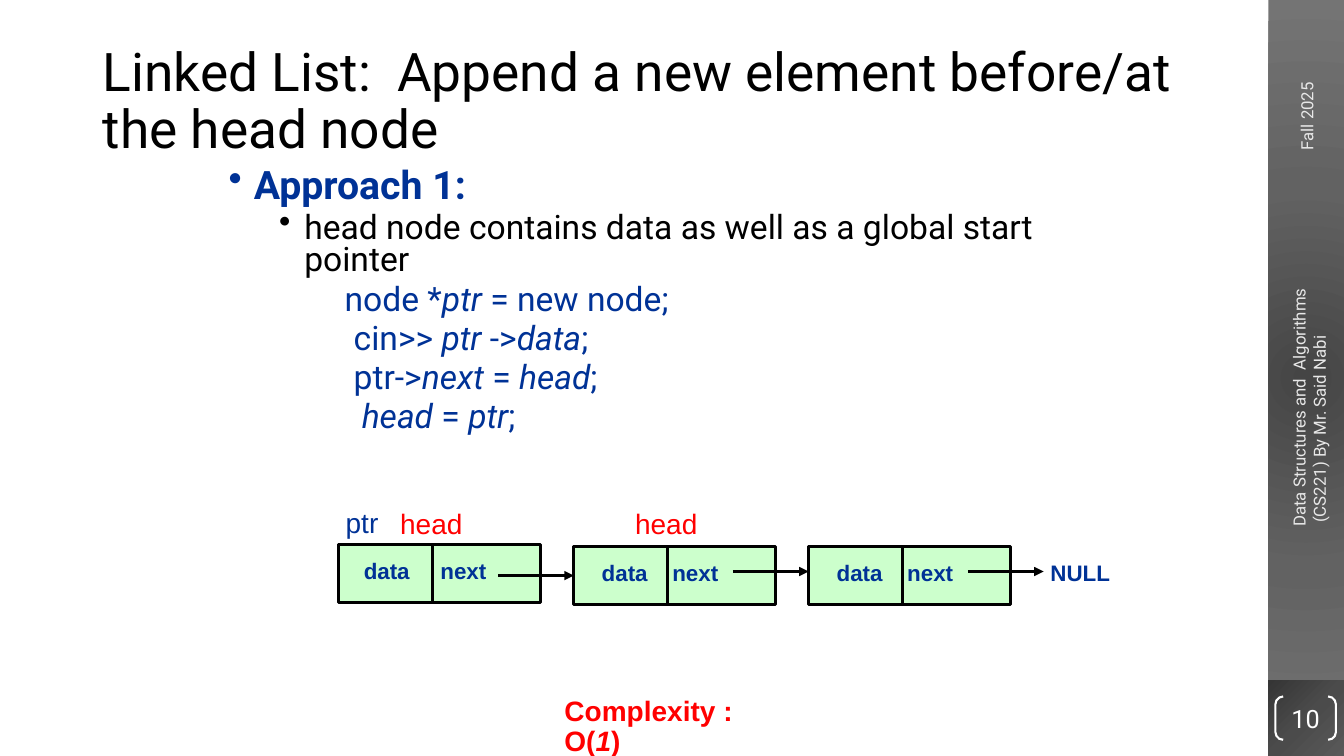
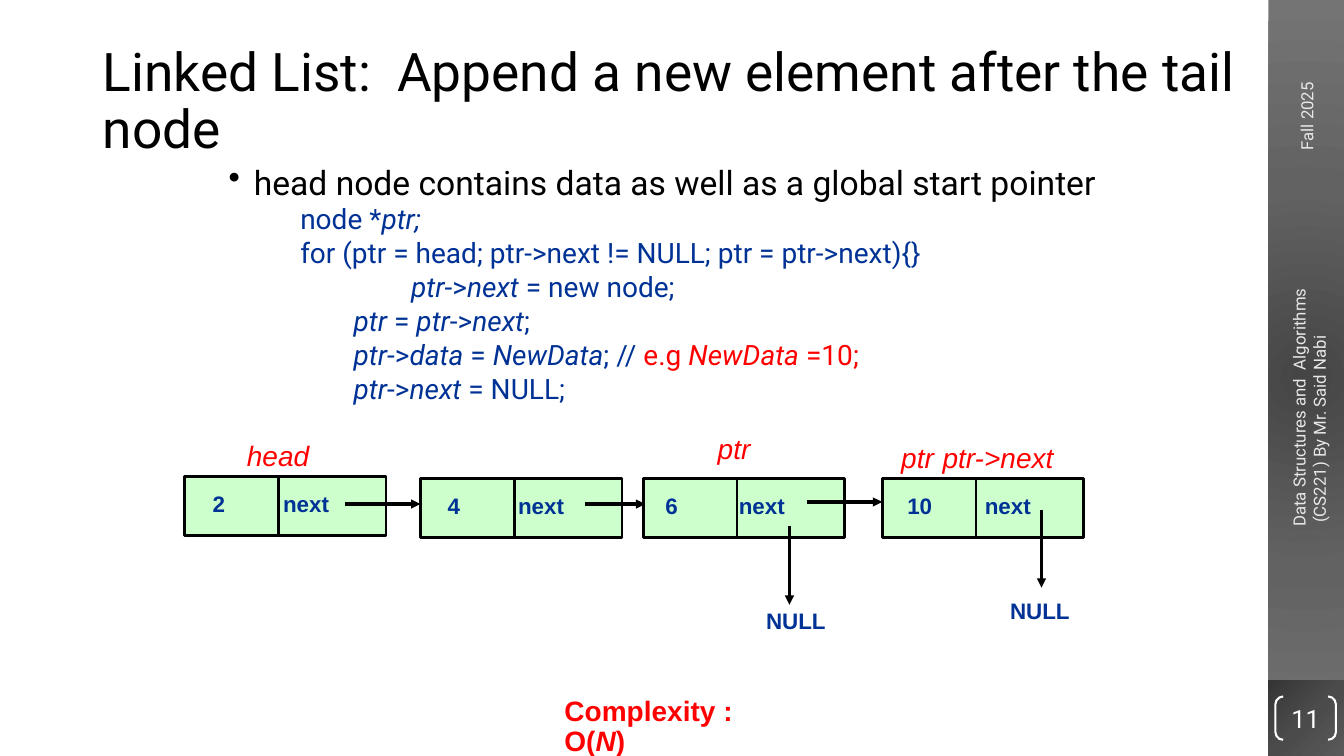
from pptx import Presentation
from pptx.dml.color import RGBColor as RGB
from pptx.enum.shapes import MSO_CONNECTOR as LINE, MSO_SHAPE as SHAPE
from pptx.enum.text import MSO_ANCHOR as ANCHOR, PP_ALIGN as ALIGN
from pptx.oxml import parse_xml
from pptx.oxml.ns import nsdecls, qn
from pptx.util import Inches, Pt

BLACK, WHITE, PALE = "000000", "FFFFFF", "E8E8E8"
BLUE, RED, GREEN = "003296", "FF0000", "CCFFCC"
HEAD, PLAIN = "Roboto", "Arial"
WIDE, HIGH, BAND = 13.33, 7.5, 0.75
NODE_W, NODE_H, SPLIT = 2, 0.58, 0.93


def hue(code):
    return RGB.from_string(code)


def style(run, size, font, color, bold=False, italic=False):
    face = run.font
    face.size, face.name = Pt(size), font
    face.bold, face.italic = bold, italic
    face.color.rgb = hue(color)


def rich(par, text, size, font, color, bold=False):
    for turn, part in enumerate(text.split("|")):
        tint = RED if turn % 2 else color
        for step, piece in enumerate(part.split("_")):
            if piece:
                run = par.add_run()
                run.text = piece
                style(run, size, font, tint, bold, step % 2 == 1)


def frame(slide, x, y, w, h):
    box = slide.shapes.add_textbox(*map(Inches, (x, y, w, h)))
    box.text_frame.word_wrap = True
    return box


def label(slide, x, y, text, size=16, color=BLUE, bold=True):
    width = 0.4 + size * 0.0085 * len(text)
    box = frame(slide, x, y, width, size / 50 + 0.04)
    rich(box.text_frame.paragraphs[0], text, size, PLAIN, color, bold)


def block(slide, kind, x, y, w, h):
    shape = slide.shapes.add_shape(kind, *map(Inches, (x, y, w, h)))
    shape.shadow.inherit = False
    return shape


def shade(slide, x, y, w, h, colors, focus):
    shape = block(slide, SHAPE.RECTANGLE, x, y, w, h)
    shape.line.fill.background()
    stops = "".join(
        f'<a:gs pos="{pos}"><a:srgbClr val="{code}"/></a:gs>'
        for pos, code in zip((0, 50000, 100000), colors))
    left, top, right, base = (side * 1000 for side in focus)
    fill = parse_xml(
        f'<a:gradFill {nsdecls("a")}><a:gsLst>{stops}</a:gsLst>'
        f'<a:path path="circle"><a:fillToRect l="{left}" t="{top}" '
        f'r="{right}" b="{base}"/></a:path></a:gradFill>')
    shape._element.spPr.find(qn("a:prstGeom")).addnext(fill)


def upright(slide, x, y, w, h, text):
    box = frame(slide, x, y, w, h)
    box.rotation = 270
    box.text_frame.text = text
    for par in box.text_frame.paragraphs:
        for run in par.runs:
            style(run, 12, HEAD, PALE)


def sidebar(slide, number):
    left, top = WIDE - BAND, HIGH - BAND
    shade(slide, left, 0, BAND, HIGH,
          ("454545", "626262", "747474"), (50, 50, 50, 50))
    shade(slide, left, top, BAND, BAND,
          ("353535", "4B4B4B", "595959"), (0, 0, 100, 100))
    upright(slide, left - 0.33, 0.73, 1.42, 0.3, "Fall 2025")
    upright(slide, left - 0.93, 3.74, 2.67, 0.5,
            "Data Structures and  Algorithms\n (CS221) By Mr. Said Nabi")
    mark = block(slide, SHAPE.DOUBLE_BRACKET, left + 0.07, top + 0.16, 0.6, 0.43)
    mark.adjustments[0] = 0.179
    mark.fill.background()
    mark.line.color.rgb = hue(WHITE)
    mark.line.width = Pt(1.5)
    text = mark.text_frame
    text.margin_left = text.margin_right = 0
    text.margin_top = text.margin_bottom = 0
    text.vertical_anchor = ANCHOR.MIDDLE
    text.text = str(number)
    text.paragraphs[0].alignment = ALIGN.CENTER
    style(text.paragraphs[0].runs[0], 18, HEAD, WHITE)


def title(slide, text):
    box = frame(slide, 0.92, 0.4, 11.5, 1.45)
    par = box.text_frame.paragraphs[0]
    par.text = text
    par.line_spacing = 0.9
    style(par.runs[0], 38, HEAD, BLACK)


def body(slide, x, y, w, h, bullets, size, code):
    rows = [(*row, True) for row in bullets]
    rows += [(ind, size, BLUE, False, text, False) for ind, text in code]
    text = frame(slide, x, y, w, h).text_frame
    for num, (ind, pts, color, bold, words, dot) in enumerate(rows):
        par = text.add_paragraph() if num else text.paragraphs[0]
        par.line_spacing = 0.8
        par.space_before = Pt(5 if num else 10)
        props = par._p.get_or_add_pPr()
        props.set("marL", str(Inches(ind)))
        props.set("indent", str(-Inches(0.25) if dot else 0))
        if dot:
            props.append(parse_xml(f'<a:buChar {nsdecls("a")} char="•"/>'))
        rich(par, words, pts, HEAD, color, bold)


def line(slide, x1, y1, x2, y2, width=2):
    wire = slide.shapes.add_connector(
        LINE.STRAIGHT, *map(Inches, (x1, y1, x2, y2)))
    wire.line.color.rgb = hue(BLACK)
    wire.line.width = Pt(width)
    wire._element.spPr.append(parse_xml(f'<a:effectLst {nsdecls("a")}/>'))
    return wire


def arrow(slide, x, y, dx=0.75, dy=0, goal=None):
    wire = line(slide, x, y, x + dx, y + dy, 2.25)
    wire.line._get_or_add_ln().append(
        parse_xml(f'<a:tailEnd {nsdecls("a")} type="triangle"/>'))
    if goal:
        wire.end_connect(goal, 1)


def node(slide, x, y, data, gap=0.18, link=0.88):
    box = block(slide, SHAPE.RECTANGLE, x, y, NODE_W, NODE_H)
    box.fill.solid()
    box.fill.fore_color.rgb = hue(GREEN)
    box.line.color.rgb = hue(BLACK)
    box.line.width = Pt(2)
    line(slide, x + SPLIT, y + NODE_H, x + SPLIT, y)
    label(slide, x + gap, y + 0.08, data)
    label(slide, x + link, y + 0.08, "next")
    return box


def cost(slide, order):
    par = frame(slide, 5.5, 6.87, 2.2, 0.63).text_frame.paragraphs[0]
    par.line_spacing = 0.9
    rich(par, f"Complexity : O(_{order}_)", 20, PLAIN, RED, True)


def page(deck, number, heading):
    slide = deck.slides.add_slide(deck.slide_layouts[6])
    sidebar(slide, number)
    title(slide, heading)
    return slide


def prepend(deck):
    slide = page(deck, 10, "Linked List:  Append a new element before/at the head node")
    body(slide, 2.17, 1.63, 9, 2.72, [
        (0.25, 28, BLUE, True, "Approach 1:"),
        (0.75, 24, BLACK, False,
         "head node contains data as well as a global start pointer"),
    ], 24, [
        (1.15, "node *_ptr_ = new node;"),
        (1.24, "cin>> _ptr_ ->_data_;"),
        (1.24, "ptr->_next_ = _head_;"),
        (1.32, "_head_ = _ptr_;"),
    ])
    x, y, step = 3.36, 5.42, 2.33
    node(slide, x, y - 0.02, "data", 0.15, 0.91)
    second, _ = [node(slide, x + step * num, y, "data") for num in (1, 2)]
    arrow(slide, 4.94, y + NODE_H / 2, goal=second)
    for num in (1, 2):
        arrow(slide, 4.94 + step * num, 5.67)
    label(slide, 10.32, 5.5, "NULL")
    label(slide, 3.33, 4.97, "ptr", 20, BLUE, False)
    for num in (0, 1):
        label(slide, 3.87 + step * num, 4.98, "head", 20, RED, False)
    cost(slide, "1")


def append(deck):
    slide = page(deck, 11, "Linked List:  Append a new element after the tail node")
    body(slide, 2.17, 1.63, 9, 2.54, [
        (0.25, 24, BLACK, False,
         "head node contains data as well as a global start pointer"),
    ], 20, [
        (0.71, "node *_ptr;_"),
        (0.71, "for (ptr = head; ptr->next != NULL; ptr = ptr->next){}"),
        (1.81, "_ptr_->_next_ = new node;"),
        (1.24, "_ptr_ = _ptr_->_next_;"),
        (1.24, "_ptr_->_data_ = _NewData_; // |e.g _NewData_ =10;|"),
        (1.24, "_ptr_->_next_ = NULL;"),
    ])
    for x, y, data, gap, link in (
            (1.83, 4.73, "2", 0.18, 0.88), (4.17, 4.75, "4", 0.17, 0.87),
            (6.38, 4.75, "6", 0.12, 0.85), (8.75, 4.75, "10", 0.15, 0.92)):
        node(slide, x, y, data, gap, link)
    for x, y, dx, dy in (
            (3.42, 5, 0.75, 0), (5.8, 5, 0.6, 0), (8, 4.98, 0.75, 0),
            (7.83, 5.22, 0, 0.78), (10.33, 5.06, 0, 0.77)):
        arrow(slide, x, y, dx, dy)
    for x, y in ((7.5, 5.97), (9.92, 5.88)):
        label(slide, x, y, "NULL")
    for x, y, name in ((2.35, 4.3, "head"), (7.02, 4.23, "ptr"),
                       (8.84, 4.32, "ptr"), (9.25, 4.32, "ptr->next")):
        label(slide, x, y, f"_{name}_", 20, RED, False)
    cost(slide, "N")


def main():
    deck = Presentation()
    deck.slide_width, deck.slide_height = Inches(WIDE), Inches(HIGH)
    prepend(deck)
    append(deck)
    deck.save("out.pptx")


if __name__ == "__main__":
    main()
